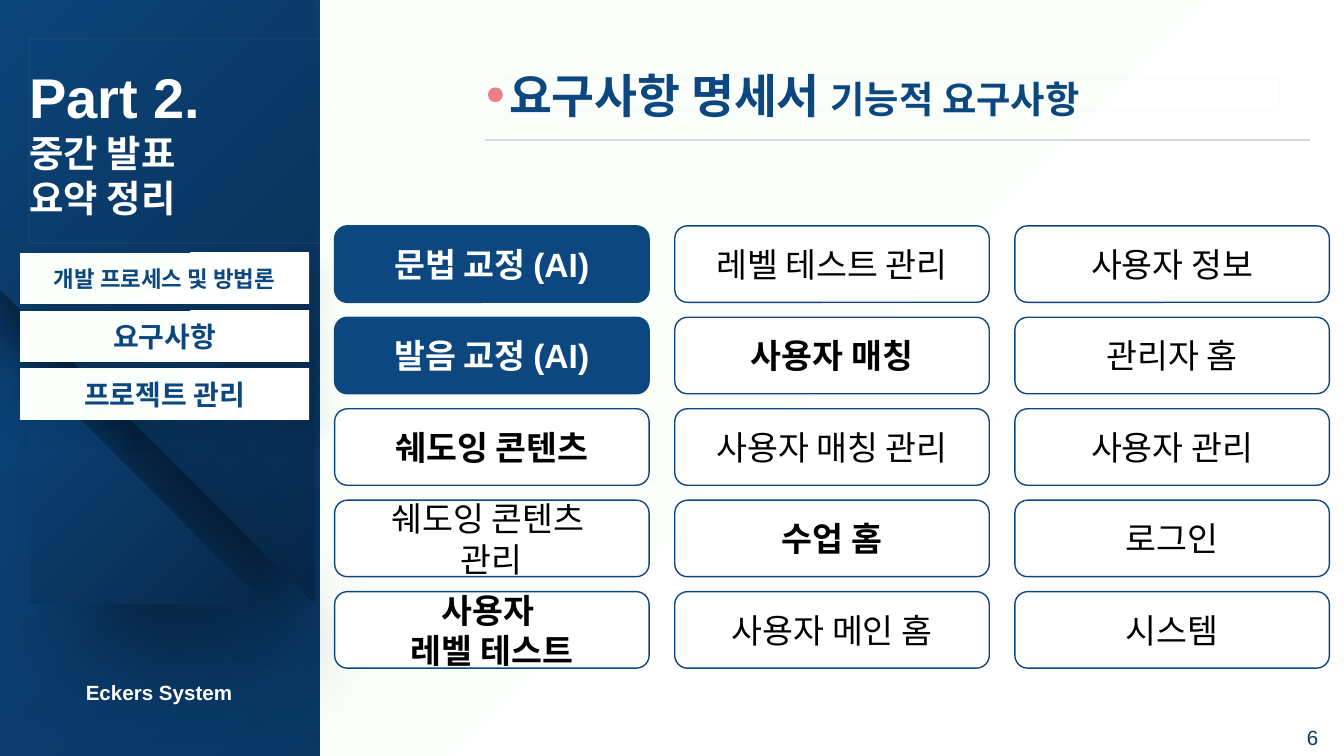
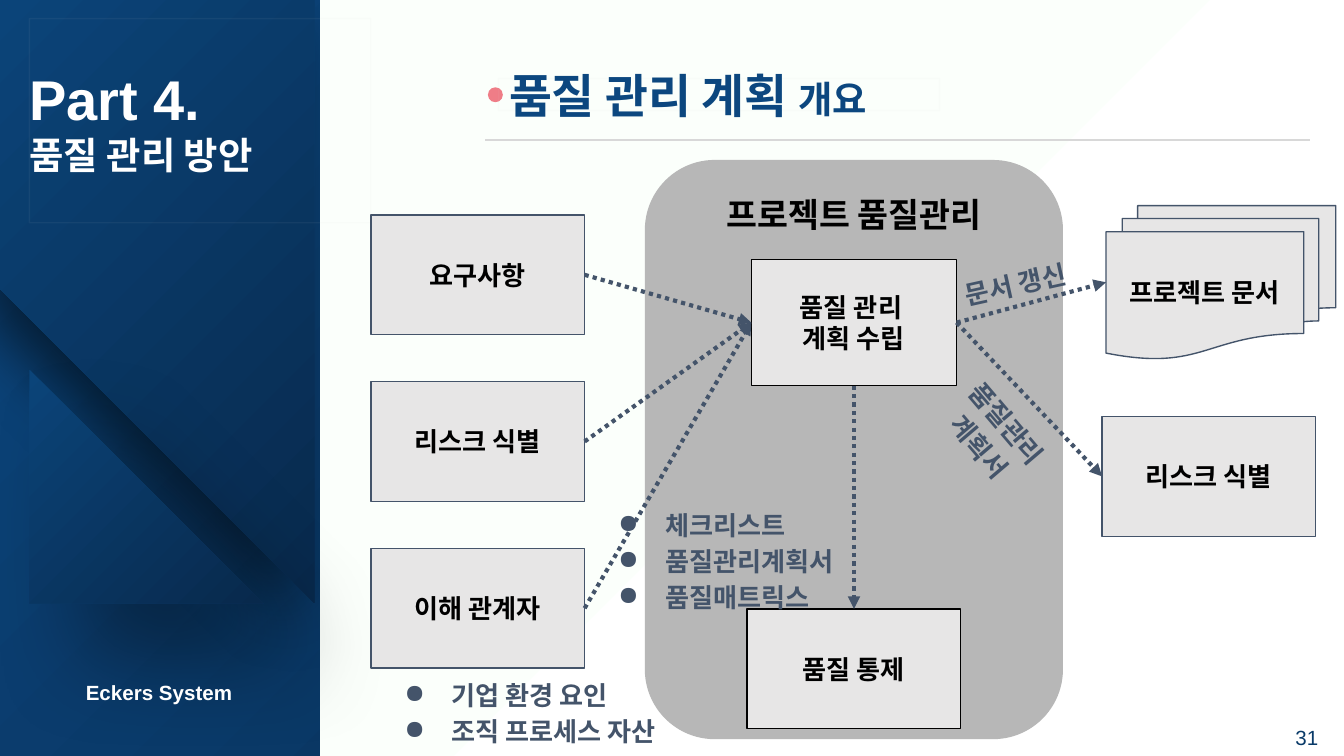
from collections import namedtuple

from lxml import etree
from pptx import Presentation
from pptx.dml.color import RGBColor
from pptx.enum import dml, shapes, text
from pptx.oxml import ns
from pptx.util import Pt

COLORS = {
    "navy": "0C477F", "deep": "08294C", "ocean": "0B4479", "page": "093A68",
    "white": "FFFFFF", "mint": "FBFFFB", "coral": "EF7D87", "rule": "D8D8D8",
    "black": "000000", "slate": "44546A", "box": "E7E6E6", "stage": "B7B7B7",
}
FONT = "Arial"
KIND = shapes.MSO_SHAPE
ALIGN = text.PP_ALIGN
ANCHOR = text.MSO_ANCHOR
TOP, LEFT, BOTTOM, RIGHT = range(4)

Box = namedtuple("Box", "x y w h")
Shadow = namedtuple("Shadow", "alpha blur distance angle")

SLIDE = Box(0, 0, 720, 405)
SIDEBAR = Box(0, 0, 171.4, 405)
HEADING = Box(260, 42, 442, 33)
GRID = Box(179.3, 121, 532.9, 237)
FLOW = Box(198.7, 85.7, 517, 317)

TAB_SHADOW = Shadow(8, 12, 11, 45)
INSET = (7.2, 7.2, 7.2, 7.2)


# Basic helpers
def rgb(name):
    return RGBColor.from_string(COLORS[name])


def within(region, x, y, w, h):
    return Box(region.x + x, region.y + y, w, h)


def lengths(box):
    return [Pt(value) for value in box]


def child(parent, tag, **attributes):
    element = etree.SubElement(parent, ns.qn(tag))
    for key, value in attributes.items():
        element.set(key, str(value))
    return element


def fill_gradient(owner, fill, inner, outer):
    """Circular gradient centred on the lower right corner."""
    fill.solid()
    solid = owner.element.find(".//" + ns.qn("a:solidFill"))
    gradient = child(solid.getparent(), "a:gradFill", rotWithShape=1)
    stops = child(gradient, "a:gsLst")
    for position, name in ((0, inner), (100000, outer)):
        child(child(stops, "a:gs", pos=position), "a:srgbClr", val=COLORS[name])
    circle = child(gradient, "a:path", path="circle")
    child(circle, "a:fillToRect", l=100000, t=100000)
    solid.getparent().replace(solid, gradient)


def cast_shadow(shape, shadow):
    effects = shape.element.spPr.find(ns.qn("a:effectLst"))
    outer = child(effects, "a:outerShdw", blurRad=Pt(shadow.blur),
                  dist=Pt(shadow.distance), dir=shadow.angle * 60000,
                  algn="bl", rotWithShape=0)
    tint = child(outer, "a:srgbClr", val=COLORS["black"])
    child(tint, "a:alpha", val=shadow.alpha * 1000)


def paint(shape, fill=None, line=None, shadow=None, faint=False):
    """Fill is a colour name, a pair of names for a gradient, or None."""
    if isinstance(fill, tuple):
        fill_gradient(shape, shape.fill, *fill)
    elif fill:
        shape.fill.solid()
        shape.fill.fore_color.rgb = rgb(fill)
    else:
        shape.fill.background()
    if line:
        shape.line.color.rgb = rgb(line)
        shape.line.width = Pt(0.75)
    else:
        shape.line.fill.background()
    if faint:
        tint = shape.element.spPr.find(".//" + ns.qn("a:srgbClr"))
        child(tint, "a:alpha", val=5000)
    shape.shadow.inherit = False
    if shadow:
        cast_shadow(shape, shadow)


def add_block(slide, kind, box, corner=None, **look):
    shape = slide.shapes.add_shape(kind, *lengths(box))
    if corner is not None:
        shape.adjustments[0] = corner
    paint(shape, **look)
    return shape


def write(shape, paragraphs, color, bold=True, align=ALIGN.CENTER, inset=INSET,
          anchor=ANCHOR.MIDDLE, spacing=None, bullet=None):
    """Each paragraph is a list of (words, size) runs."""
    frame = shape.text_frame
    frame.word_wrap = True
    frame.vertical_anchor = anchor
    (frame.margin_left, frame.margin_top,
     frame.margin_right, frame.margin_bottom) = lengths(inset)
    for index, runs in enumerate(paragraphs):
        paragraph = frame.add_paragraph() if index else frame.paragraphs[0]
        if bullet:
            properties = paragraph._p.get_or_add_pPr()
            properties.set("marL", str(Pt(36)))
            properties.set("indent", str(Pt(-25.2)))
            child(child(properties, "a:buClr"), "a:srgbClr", val=COLORS[color])
            child(properties, "a:buChar", char=bullet)
        paragraph.alignment = align
        if spacing:
            paragraph.line_spacing = spacing
        for words, size in runs:
            run = paragraph.add_run()
            run.text = words
            run.font.name = FONT
            run.font.size = Pt(size)
            run.font.bold = bold
            run.font.color.rgb = rgb(color)


def add_note(slide, box, lines, size, color, rotation=0, **style):
    note = slide.shapes.add_textbox(*lengths(box))
    note.rotation = rotation
    write(note, [[(line, size)] for line in lines], color, **style)


def add_line(slide, start, end, color, width):
    line = slide.shapes.add_connector(shapes.MSO_CONNECTOR.STRAIGHT,
                                      *lengths(start + end))
    line.line.color.rgb = rgb(color)
    line.line.width = Pt(width)
    child(line.element.spPr, "a:effectLst")
    return line


def add_arrow(slide, source, source_side, target, target_side):
    arrow = add_line(slide, (0, 0), (0, 0), "slate", 2.25)
    arrow.begin_connect(source, source_side)
    arrow.end_connect(target, target_side)
    arrow.line.dash_style = dml.MSO_LINE.ROUND_DOT
    child(arrow.line._get_or_add_ln(), "a:tailEnd", type="triangle")


# Shared parts
def draw_backdrop(slide, box):
    fill_gradient(slide, slide.background.fill, "deep", "navy")
    builder = slide.shapes.build_freeform(Pt(box.x), Pt(box.y), scale=1.0)
    edge = [(168.5, 0), (168.5, 323.3), (0, 154.8)]
    builder.add_line_segments([(Pt(box.x + x), Pt(box.y + y)) for x, y in edge])
    paint(builder.convert_to_shape(), fill=("deep", "ocean"),
          shadow=Shadow(56, 35, 14, 135))
    add_block(slide, KIND.ROUNDED_RECTANGLE,
              within(box, SIDEBAR.w, 0, box.w - SIDEBAR.w, box.h),
              corner=0, fill=("white", "mint"))
    add_block(slide, KIND.ISOSCELES_TRIANGLE, within(box, 15.8, 198, 125.3, 125.3),
              corner=0, fill=("deep", "ocean"), shadow=Shadow(39, 53, 41, 45))


def draw_sidebar(slide, box, part, topics, title_top, tabs=()):
    title = add_block(slide, KIND.RECTANGLE, within(box, 15.8, title_top, 182.9, 109.4),
                      line="rule", faint=True)
    write(title, [[(part, 30)]] + [[(topic, 20)] for topic in topics], "white",
          align=ALIGN.LEFT, inset=(0, 0, 0, 0))
    add_note(slide, within(box, 15.8, 349.2, 139, 41), ["Eckers System"], 11, "white",
             spacing=1.2, inset=(0, 0, 0, 0))
    for index, (label, size) in enumerate(tabs):
        tab = add_block(slide, KIND.PLAQUE, within(box, 10.8, 135.4 + 31 * index, 154.8, 27.4),
                        corner=0, fill=("white", "mint"), shadow=TAB_SHADOW)
        write(tab, [[(label, size)]], "navy", inset=(10.8, 2.9, 10.8, 2.9))


def draw_heading(slide, box, subject, detail, width):
    add_block(slide, KIND.OVAL, within(box, 1.4, 4.8, 8, 8), fill="coral")
    add_line(slide, (box.x, box.y + box.h), (box.x + box.w, box.y + box.h), "rule", 1)
    heading = add_block(slide, KIND.RECTANGLE, within(box, 7.1, 0, width, 17.3),
                        line="rule", faint=True)
    write(heading, [[(f" {subject} ", 25), (detail, 20)]], "navy",
          align=ALIGN.LEFT, inset=(0, 0, 0, 0))


def draw_page_number(slide, box, number):
    add_note(slide, within(box, 672.5, 388.8, 33.8, 12.2), [str(number)], 11, "page",
             bold=False, align=ALIGN.RIGHT, inset=(0, 0, 0, 0))


# Functional requirements, column by column
FEATURES = [
    [(["문법 교정 (AI)"], "key"), (["발음 교정 (AI)"], "key"),
     (["쉐도잉 콘텐츠"], "bold"), (["쉐도잉 콘텐츠 ", "관리"], "plain"),
     (["사용자 ", "레벨 테스트"], "bold")],
    [(["레벨 테스트 관리"], "plain"), (["사용자 매칭"], "bold"),
     (["사용자 매칭 관리"], "plain"), (["수업 홈"], "bold"),
     (["사용자 메인 홈"], "plain")],
    [(["사용자 정보"], "plain"), (["관리자 홈"], "plain"), (["사용자 관리"], "plain"),
     (["로그인"], "plain"), (["시스템"], "plain")],
]


def draw_feature_grid(slide, box):
    width, height = 168.5, 41
    column_step = (box.w - width) / (len(FEATURES) - 1)
    row_step = (box.h - height) / (len(FEATURES[0]) - 1)
    for column, features in enumerate(FEATURES):
        for row, (lines, weight) in enumerate(features):
            key = weight == "key"
            feature = add_block(
                slide, KIND.ROUNDED_RECTANGLE,
                within(box, column * column_step, row * row_step, width, height),
                corner=0.167, fill="navy" if key else "white", line="navy")
            write(feature, [[(line, 18)] for line in lines],
                  "white" if key else "black", bold=weight != "plain")


# Quality management flow
def draw_quality_flow(slide, box):
    width, height = 114.5, 64.1
    center = 258.8

    def step(lines, x, y, w=width, h=height, kind=KIND.RECTANGLE, line="slate"):
        shape = add_block(slide, kind, within(box, x, y, w, h), fill="box", line=line)
        write(shape, [[(words, 14)] for words in lines], "black")
        return shape

    stage = add_block(slide, KIND.ROUNDED_RECTANGLE,
                      within(box, center - 112, 0, 224, 310.3), corner=0.167, fill="stage")
    write(stage, [[("프로젝트 품질관리", 18)]], "black", anchor=ANCHOR.TOP)

    inputs = [step([label], 0, 29.5 + 89.3 * index)
              for index, label in enumerate(["요구사항", "리스크 식별", "이해 관계자"])]
    planning = step(["품질 관리 ", "계획 수립"], center - 55, 53.3, 110, 67.7, line="black")
    control = step(["품질 통제"], center - width / 2, 240.5, line="black")
    documents = step(["프로젝트 문서"], 393.8, 24.5, 123.1, 82.1,
                     kind=KIND.FLOWCHART_MULTIDOCUMENT)
    risks = step(["리스크 식별"], 391.7, 137.5)

    for source in inputs:
        add_arrow(slide, source, RIGHT, planning, LEFT)
    for target in (documents, risks):
        add_arrow(slide, planning, RIGHT, target, LEFT)
    add_arrow(slide, planning, BOTTOM, control, TOP)

    # Arrow labels and bulleted factors
    add_note(slide, within(box, 306.7, 52.6, 77, 25.2), ["문서 갱신"], 14, "slate",
             rotation=347.5, spacing=1.15)
    add_note(slide, within(box, 295.9, 128.2, 77, 36.7), ["품질관리 계획서"], 14, "slate",
             rotation=49.6, spacing=1.15)
    factors = [
        (within(box, 0, 273.6, 190, 43.2), ["기업 환경 요인", "조직 프로세스 자산"]),
        (within(box, width, 177.8, 154, 72), ["체크리스트", "품질관리계획서", "품질매트릭스"]),
    ]
    for place, lines in factors:
        add_note(slide, place, lines, 14, "slate", align=ALIGN.LEFT,
                 spacing=1.15, bullet="●")


# Slides
def new_slide(deck, number):
    slide = deck.slides.add_slide(deck.slide_layouts[6])
    draw_backdrop(slide, SLIDE)
    draw_page_number(slide, SLIDE, number)
    return slide


def main():
    deck = Presentation()
    deck.slide_width, deck.slide_height = Pt(SLIDE.w), Pt(SLIDE.h)

    requirements = new_slide(deck, 6)
    draw_sidebar(requirements, SIDEBAR, "Part 2.", ["중간 발표", "요약 정리"], 20.9,
                 tabs=[("개발 프로세스 및 방법론", 12), ("요구사항", 15), ("프로젝트 관리", 15)])
    draw_heading(requirements, HEADING, "요구사항 명세서", "기능적 요구사항", 418.3)
    draw_feature_grid(requirements, GRID)

    quality = new_slide(deck, 31)
    draw_sidebar(quality, SIDEBAR, "Part 4.", ["품질 관리 방안"], 10)
    draw_heading(quality, HEADING, "품질 관리 계획", "개요", 236.2)
    draw_quality_flow(quality, FLOW)

    deck.save("out.pptx")


if __name__ == "__main__":
    main()
